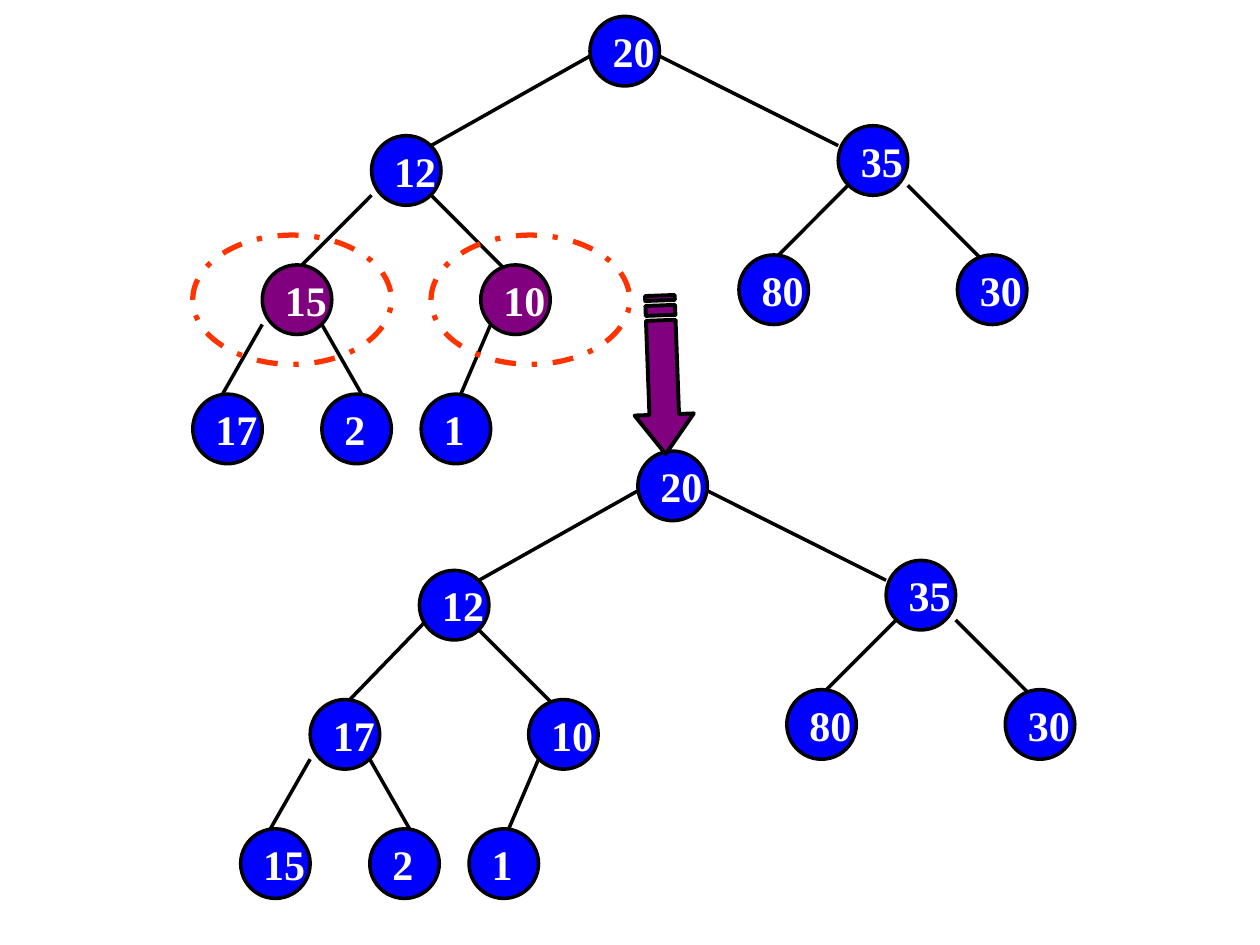
import pptx
import pptx.dml.color
import pptx.enum.dml
import pptx.enum.shapes
import pptx.enum.text
import pptx.oxml
import pptx.util

COLORS = {
    "node": "0000FF",
    "swapped": "800080",
    "outline": "000000",
    "label": "FFFFFF",
    "highlight": "FF3300",
}
FONT = "Times New Roman"
COLUMNS, ROWS, NODE_SIZE = 84, 45, 7
NODES = {
    "root": (40, 0),
    "left": (18, 12),
    "right": (65, 11),
    "left_left": (7, 25),
    "left_right": (29, 25),
    "right_left": (55, 24),
    "right_right": (77, 24),
    "leaf_first": (0, 38),
    "leaf_second": (13, 38),
    "leaf_third": (23, 38),
}
EDGES = {
    ("root", "left"): ((0, 4), (6, 1)),
    ("root", "right"): ((7, 4), (0, 2)),
    ("left", "left_left"): ((0, 6), (4, 0)),
    ("left", "left_right"): ((6, 6), (3, 1)),
    ("right", "right_left"): ((1, 6), (4, 0)),
    ("right", "right_right"): ((7, 6), (3, 1)),
    ("left_left", "leaf_first"): ((0, 6), (3, 0)),
    ("left_left", "leaf_second"): ((6, 6), (4, 0)),
    ("left_right", "leaf_third"): ((1, 6), (4, 0)),
}
BEFORE = [20, 12, 35, 15, 10, 80, 30, 17, 2, 1]
AFTER = [20, 12, 35, 17, 10, 80, 30, 15, 2, 1]


def rgb(name):
    return pptx.dml.color.RGBColor.from_string(COLORS[name])


def grid_point(box, column, row):
    left, top, width, height = box
    return (
        pptx.util.Inches(left + width * column / COLUMNS),
        pptx.util.Inches(top + height * row / ROWS),
    )


def style_shape(shape, fill, line, weight):
    shape.shadow.inherit = False
    if fill:
        shape.fill.solid()
        shape.fill.fore_color.rgb = rgb(fill)
    else:
        shape.fill.background()
    shape.line.color.rgb = rgb(line)
    shape.line.width = pptx.util.Pt(weight)


def add_oval(shapes, box, column, row, columns, rows):
    left, top = grid_point(box, column, row)
    right, bottom = grid_point(box, column + columns, row + rows)
    return shapes.add_shape(
        pptx.enum.shapes.MSO_SHAPE.OVAL, left, top, right - left, bottom - top
    )


def add_edge(shapes, start, end):
    connector = shapes.add_connector(
        pptx.enum.shapes.MSO_CONNECTOR.STRAIGHT, *start, *end
    )
    connector.line.color.rgb = rgb("outline")
    connector.line.width = pptx.util.Pt(2)
    properties = connector._element.spPr
    properties.append(
        properties.makeelement(pptx.oxml.ns.qn("a:effectLst"), {})
    )


def add_node(shapes, box, position, value, fill):
    node = add_oval(shapes, box, *position, NODE_SIZE, NODE_SIZE)
    style_shape(node, fill, "outline", 2)
    frame = node.text_frame
    frame.word_wrap = False
    frame.vertical_anchor = pptx.enum.text.MSO_ANCHOR.MIDDLE
    paragraph = frame.paragraphs[0]
    paragraph.alignment = pptx.enum.text.PP_ALIGN.LEFT
    run = paragraph.add_run()
    run.text = str(value)
    run.font.name = FONT
    run.font.size = pptx.util.Pt(24)
    run.font.bold = True
    run.font.color.rgb = rgb("label")


def add_tree(slide, box, values, swapped=(), moved_exits=None):
    shapes = slide.shapes.add_group_shape().shapes
    moved_exits = moved_exits or {}
    for edge, (exit_offset, entry_offset) in EDGES.items():
        offsets = (moved_exits.get(edge, exit_offset), entry_offset)
        start, end = (
            grid_point(box, NODES[name][0] + column, NODES[name][1] + row)
            for name, (column, row) in zip(edge, offsets)
        )
        add_edge(shapes, start, end)
    for (name, position), value in zip(NODES.items(), values):
        fill = "swapped" if name in swapped else "node"
        add_node(shapes, box, position, value, fill)


def add_highlights(slide, box):
    for column in (0, 24):
        highlight = add_oval(slide.shapes, box, column, 22, 20, 13)
        style_shape(highlight, None, "highlight", 3)
        highlight.line.dash_style = pptx.enum.dml.MSO_LINE.DASH_DOT


def add_striped_arrow(slide, box, rotation):
    left, top, width, height = (pptx.util.Inches(length) for length in box)
    builder = slide.shapes.build_freeform(24, 0, scale=(width / 32, height / 4))
    builder.add_line_segments(
        [(24, 1), (5, 1), (5, 3), (24, 3), (24, 4), (32, 2)], close=True
    )
    for start, end in ((2, 4), (0, 1)):
        builder.move_to(start, 1)
        builder.add_line_segments([(end, 1), (end, 3), (start, 3)], close=True)
    arrow = builder.convert_to_shape(left, top)
    arrow.left, arrow.top = left, top
    arrow.rotation = rotation
    style_shape(arrow, "swapped", "outline", 2.25)


def main():
    presentation = pptx.Presentation()
    presentation.slide_width = pptx.util.Inches(10)
    presentation.slide_height = pptx.util.Inches(7.5)
    slide = presentation.slides.add_slide(presentation.slide_layouts[6])
    before_box = (1.53, 0.13, 6.62, 3.55)
    after_box = (1.91, 3.58, 6.62, 3.55)
    add_tree(slide, before_box, BEFORE, ("left_left", "left_right"))
    add_tree(
        slide, after_box, AFTER, moved_exits={("left", "left_left"): (0.75, 5)}
    )
    add_striped_arrow(slide, (4.63, 2.74, 1.26, 0.47), 87.9)
    add_highlights(slide, before_box)
    presentation.save("out.pptx")


if __name__ == "__main__":
    main()
